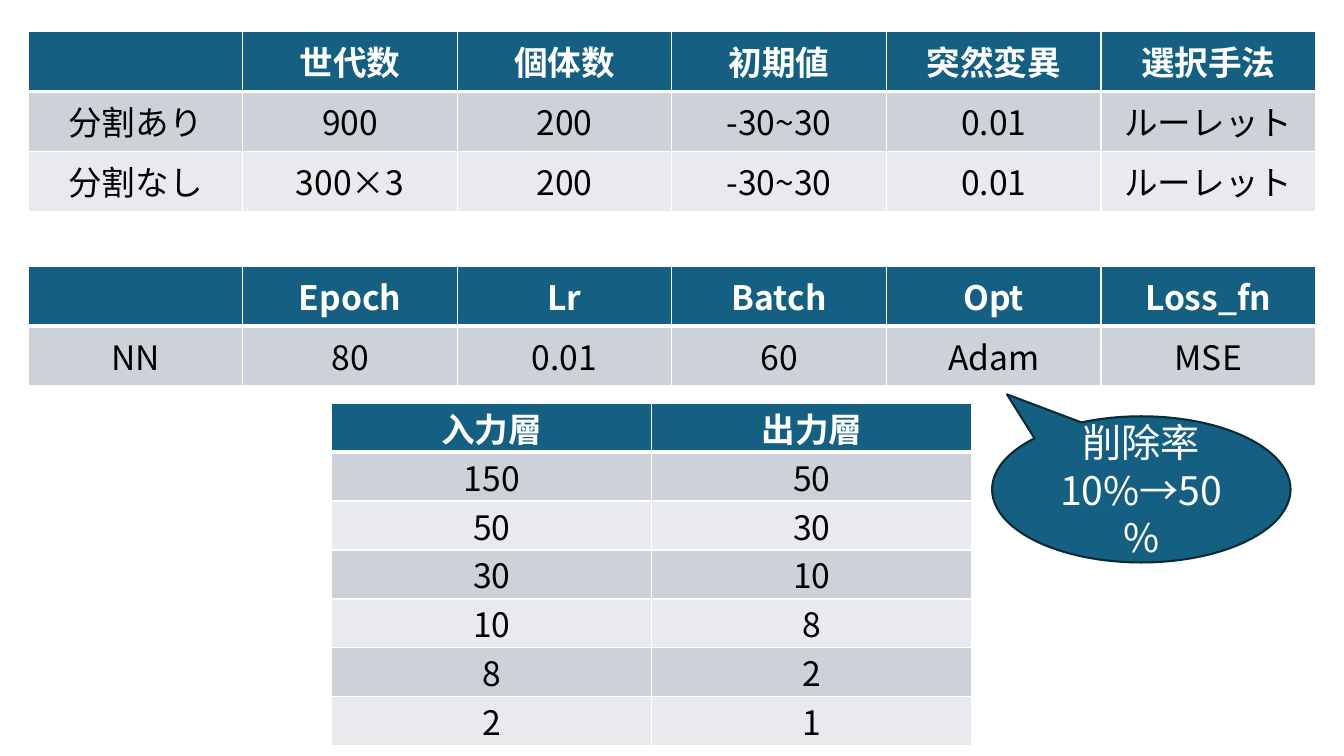
from dataclasses import dataclass
from lxml import etree
from pptx import Presentation
from pptx.dml.color import RGBColor
from pptx.enum.shapes import MSO_SHAPE
from pptx.enum.text import MSO_ANCHOR, PP_ALIGN
from pptx.oxml.ns import qn
from pptx.util import Inches, Pt

CENTER = PP_ALIGN.CENTER
MIDDLE = MSO_ANCHOR.MIDDLE
BUBBLE = MSO_SHAPE.OVAL_CALLOUT


@dataclass(frozen=True)
class Theme:
    font: str = "Noto Sans CJK JP"
    head: str = "156082"
    edge: str = "092A39"
    bands: tuple = ("CCD2D8", "E8EAED")
    white: str = "FFFFFF"
    black: str = "000000"
    cell: int = 24
    note: int = 28


theme = Theme()


def style(para, size, color, bold=False):
    para.alignment = CENTER
    font = para.font
    font.name, font.size, font.bold = theme.font, Pt(size), bold
    font.color.rgb = RGBColor.from_string(color)
    # East Asian glyphs take their own typeface
    props = para._p.pPr.find(qn("a:defRPr"))
    etree.SubElement(props, qn("a:ea"), typeface=theme.font)


def add_grid(left, top, width, height, rows, pad=0.05):
    frame = slide.shapes.add_table(
        len(rows), len(rows[0]),
        Inches(left), Inches(top), Inches(width), Inches(height))
    for r, row in enumerate(rows):
        head = r == 0
        fill = theme.head if head else theme.bands[(r - 1) % 2]
        color = theme.white if head else theme.black
        for c, text in enumerate(row):
            cell = frame.table.cell(r, c)
            # White rules, thick under the header
            props = cell._tc.get_or_add_tcPr()
            for side in "LRTB":
                thick = (r, side) in ((0, "B"), (1, "T"))
                line = etree.SubElement(props, qn("a:ln" + side),
                                        w=str(Pt(3 if thick else 1)))
                solid = etree.SubElement(line, qn("a:solidFill"))
                etree.SubElement(solid, qn("a:srgbClr"), val=theme.white)
            cell.fill.solid()
            cell.fill.fore_color.rgb = RGBColor.from_string(fill)
            cell.margin_top = cell.margin_bottom = Inches(pad)
            cell.text = text
            style(cell.text_frame.paragraphs[0], theme.cell, color, head)


deck = Presentation()
deck.slide_width, deck.slide_height = Inches(13.33), Inches(7.5)
slide = deck.slides.add_slide(deck.slide_layouts[6])

# Genetic algorithm settings
add_grid(0.28, 0.31, 12.77, 1.79, [
    ("", "世代数", "個体数", "初期値", "突然変異", "選択手法"),
    ("分割あり", "900", "200", "-30~30", "0.01", "ルーレット"),
    ("分割なし", "300×3", "200", "-30~30", "0.01", "ルーレット"),
])

# Neural network settings
add_grid(0.28, 2.64, 12.77, 1.19, [
    ("", "Epoch", "Lr", "Batch", "Opt", "Loss_fn"),
    ("NN", "80", "0.01", "60", "Adam", "MSE"),
])

# Callout with the removal rate
note = slide.shapes.add_shape(
    BUBBLE, Inches(9.84), Inches(4.13), Inches(2.96), Inches(1.45))
note.adjustments[0], note.adjustments[1] = -0.45, -0.65
note.shadow.inherit = False
note.fill.solid()
note.fill.fore_color.rgb = RGBColor.from_string(theme.head)
note.line.color.rgb = RGBColor.from_string(theme.edge)
note.line.width = Pt(1.5)
body = note.text_frame
body.word_wrap = True
body.vertical_anchor = MIDDLE
body.text = "削除率\n10%→50%"
for para in body.paragraphs:
    style(para, theme.note, theme.white)

# Layer sizes: each output feeds the next input; tight rows fit the slide
sizes = ("150", "50", "30", "10", "8", "2", "1")
add_grid(3.29, 4, 6.35, 3.4,
         [("入力層", "出力層"), *zip(sizes, sizes[1:])], pad=0)

deck.save("out.pptx")
